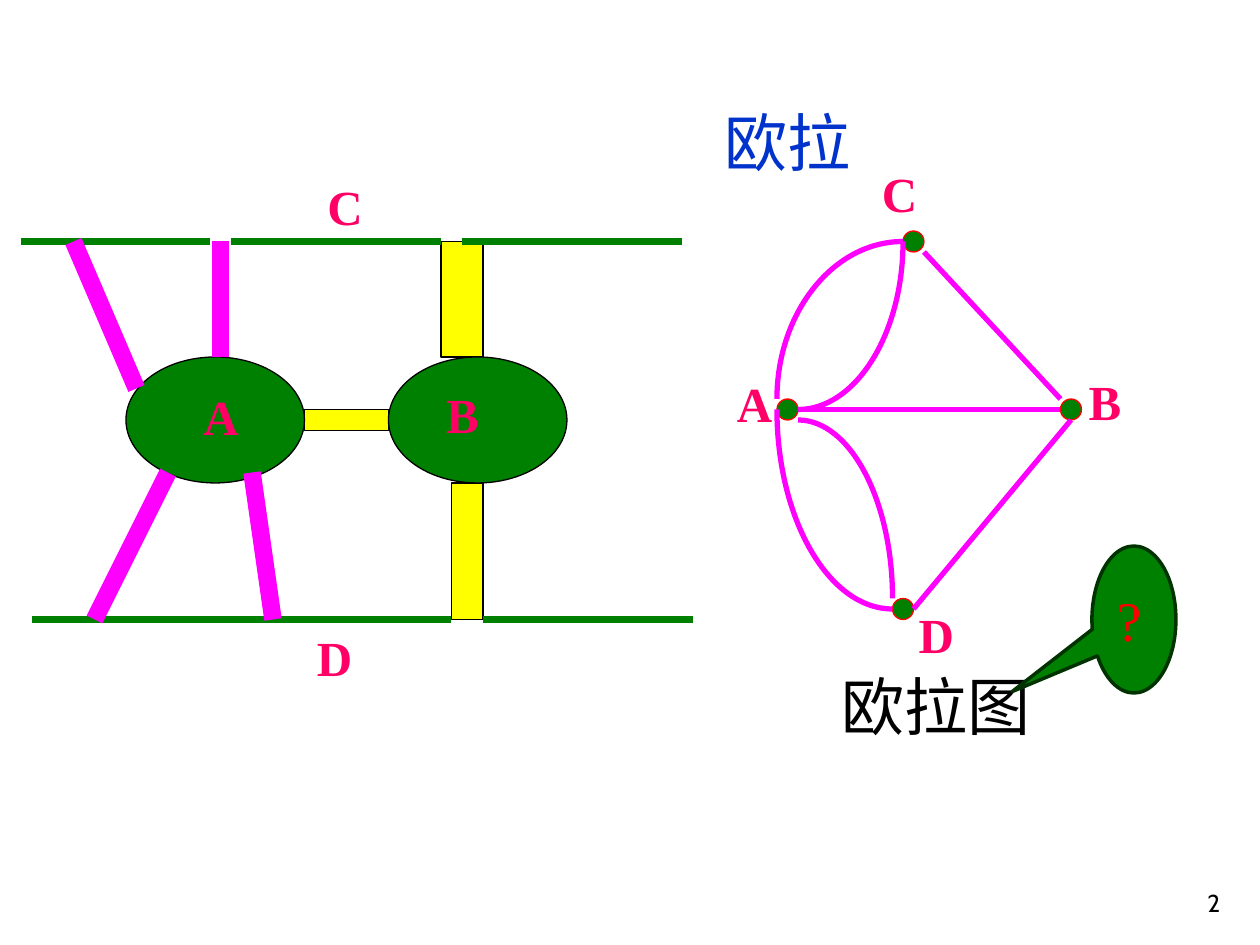
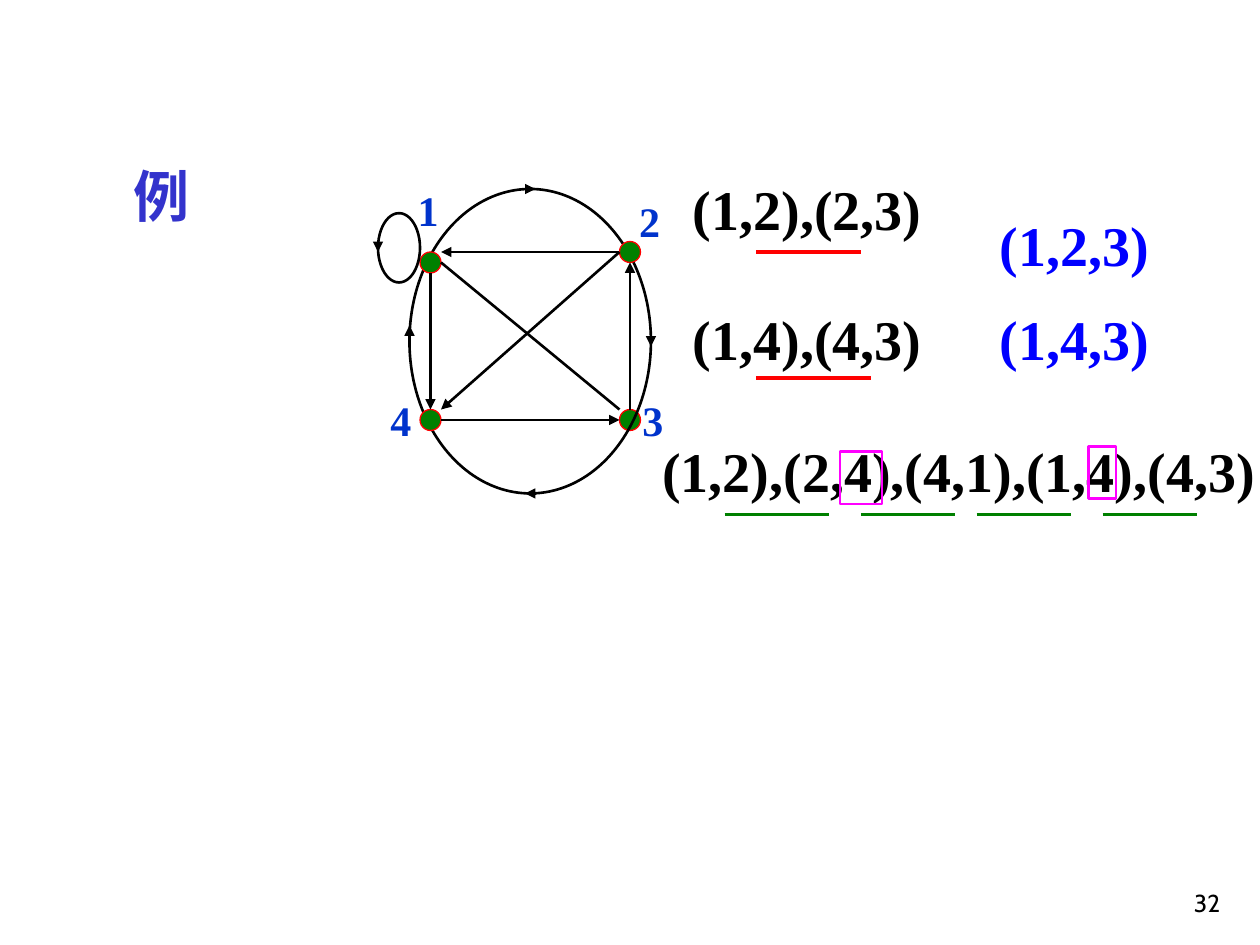
"""Build two slides on graphs: the seven bridges and walks in a directed graph."""
import pptx
import pptx.dml.color
import pptx.enum.shapes
import pptx.enum.text
import pptx.oxml.ns
import pptx.util
import lxml.etree

SHAPE = pptx.enum.shapes.MSO_SHAPE
ALIGN = pptx.enum.text.PP_ALIGN
ANCHOR = pptx.enum.text.MSO_ANCHOR
FIT = pptx.enum.text.MSO_AUTO_SIZE
qn = pptx.oxml.ns.qn

GRID = 2.54 / 12
CURVE = 0.55
SERIF, SANS = "Times New Roman", "Cabin"
GREEN, YELLOW, MAGENTA, RED = "008000", "FFFF00", "FF00FF", "FF0000"
BLACK, BLUE, PINK = "000000", "0033CC", "FF0066"


def color(hex_text):
    return pptx.dml.color.RGBColor.from_string(hex_text)


def grid(*values):
    return [pptx.util.Cm(value * GRID) for value in values]


class Sketch:
    def __init__(self, deck):
        self.deck = deck
        self.slide = None

    def new_slide(self, layout, number):
        self.slide = self.deck.slides.add_slide(self.deck.slide_layouts[layout])
        box = self.text((92.4, 82, 25, 6), [number], 14, BLACK, SANS, align=ALIGN.RIGHT)
        box.text_frame.auto_size = FIT.NONE
        box.text_frame.vertical_anchor = ANCHOR.BOTTOM

    def fill_text(self, frame, lines, size, ink, font, bold, align=ALIGN.LEFT, spacing=None):
        for index, line in enumerate(lines):
            para = frame.add_paragraph() if index else frame.paragraphs[0]
            para.alignment = align
            para.line_spacing = spacing
            span = para.add_run()
            span.text = line
            span.font.name = font
            span.font.size = pptx.util.Pt(size)
            span.font.bold = bold
            span.font.color.rgb = color(ink)

    def text(self, place, lines, size, ink, font=SERIF, bold=False, wrap=True, **layout):
        box = self.slide.shapes.add_textbox(*grid(*place))
        box.text_frame.word_wrap = wrap
        box.text_frame.auto_size = FIT.SHAPE_TO_FIT_TEXT
        self.fill_text(box.text_frame, lines, size, ink, font, bold, **layout)
        return box

    def labels(self, places, size, ink, extent):
        for name, corner in places.items():
            self.text((*corner, *extent), [name], size, ink, bold=True, wrap=False)

    def body(self, place, line, size, ink):
        title = self.slide.shapes.title.element
        title.getparent().remove(title)
        box = self.slide.placeholders[1]
        box.left, box.top, box.width, box.height = grid(*place)
        box.text_frame.auto_size = FIT.NONE
        properties = box.text_frame.paragraphs[0]._p.get_or_add_pPr()
        indent = pptx.util.Cm(0.95)
        properties.set("marL", str(indent))
        properties.set("indent", str(-indent))
        lxml.etree.SubElement(properties, qn("a:buNone"))
        box.text_frame.paragraphs[0].space_before = pptx.util.Pt(0)
        self.fill_text(box.text_frame, [line], size, ink, SANS, True)

    def stroke(self, shape, ink, width):
        shape.line.color.rgb = color(ink)
        shape.line.width = pptx.util.Pt(width)

    def shape(self, kind, place, fill=None, ink=BLACK, width=0.75):
        shape = self.slide.shapes.add_shape(kind, *grid(*place))
        shape.shadow.inherit = False
        if fill:
            shape.fill.solid()
            shape.fill.fore_color.rgb = color(fill)
        else:
            shape.fill.background()
        self.stroke(shape, ink, width)
        return shape

    def dots(self, corners):
        for corner in corners:
            self.shape(SHAPE.OVAL, (*corner, 2, 2), GREEN, RED)

    def line(self, start, end, ink=BLACK, width=1.5, arrow=False):
        line = self.slide.shapes.add_connector(
            pptx.enum.shapes.MSO_CONNECTOR.STRAIGHT, *grid(*start, *end))
        self.stroke(line, ink, width)
        if arrow:
            outline = line.element.spPr.find(qn("a:ln"))
            lxml.etree.SubElement(outline, qn("a:tailEnd"), type="triangle")
        lxml.etree.SubElement(line.element.spPr, qn("a:effectLst"))

    def level_lines(self, y, spans, ink, width):
        for left, right in spans:
            self.line((left, y), (right, y), ink, width)

    def quarter_arc(self, start, end, ink, width):
        (x0, y0), (x1, y1) = start, end
        points = [(x0 + CURVE * (x1 - x0), y0), (x1, y1 - CURVE * (y1 - y0)), end]
        builder = self.slide.shapes.build_freeform(*grid(*start))
        builder.add_line_segments([grid(*point) for point in points], close=False)
        arc = builder.convert_to_shape()
        segments = list(arc.element.iter(qn("a:lnTo")))
        curve = lxml.etree.SubElement(segments[0].getparent(), qn("a:cubicBezTo"))
        for segment in segments:
            curve.append(segment[0])
            segment.getparent().remove(segment)
        arc.shadow.inherit = False
        arc.fill.background()
        self.stroke(arc, ink, width)


def draw_bridges(sketch):
    sketch.new_slide(6, "2")
    letter = (5.76, 6.84)
    sketch.text((67.8, 9.24, 26.16, 8.4), ["欧拉"], 36, BLUE, SANS)

    sketch.dots([(85, 57), (101, 38), (74, 38), (86, 22)])
    sketch.labels({"C": (82.8, 15), "D": (86.3, 57), "A": (69, 35), "B": (102.5, 34.8)},
                  28, PINK, letter)
    for start, end in [((101, 38), (88, 24)), ((76, 39), (101, 39)), ((87, 58), (102, 40))]:
        sketch.line(start, end, MAGENTA, 3)
    for start, end in [((86, 23), (74, 38)), ((76, 40), (85, 57)),
                       ((76, 39), (86, 23)), ((85, 58), (74, 39))]:
        sketch.quarter_arc(start, end, MAGENTA, 3)

    for place in [(42, 23, 4, 11), (29, 39, 8, 2), (43, 46, 3, 13)]:
        sketch.shape(SHAPE.RECTANGLE, place, YELLOW)
    sketch.level_lines(23, [(2, 20), (22, 42), (44, 65)], GREEN, 4.25)
    sketch.level_lines(59, [(3, 23), (23, 43), (46, 66)], GREEN, 4.25)
    for left in (12, 37):
        sketch.shape(SHAPE.OVAL, (left, 34, 17, 12), GREEN)
    sketch.labels({"C": (30, 16.2), "D": (29, 59.2), "A": (18.2, 36.2), "B": (41.3, 36)},
                  28, PINK, letter)
    for start, end in [((7, 23), (13, 37)), ((21, 34), (21, 23)),
                       ((24, 45), (26, 59)), ((16, 45), (9, 59))]:
        sketch.line(start, end, MAGENTA, 10)

    sketch.text((79, 63, 35.2, 8.4), ["欧拉图"], 36, BLACK, SANS)
    callout = sketch.shape(SHAPE.OVAL_CALLOUT, (104, 52, 8, 14), GREEN, "003300", 2)
    callout.adjustments[0], callout.adjustments[1] = -1.45, 0.49
    callout.text_frame.vertical_anchor = ANCHOR.MIDDLE
    sketch.fill_text(callout.text_frame, ["?"], 32, RED, SERIF, False)


def draw_walks(sketch):
    sketch.new_slide(1, "32")
    sketch.body((11.5, 14.8, 102, 46.2), "例", 32, "3333CC")

    sketch.dots([(59, 39)])
    sketch.shape(SHAPE.OVAL, (39, 18, 23, 29), width=1.5)
    sketch.labels({"2": (59.7, 18), "3": (60, 37), "4": (36, 37), "1": (38.6, 17)},
                  24, BLUE, (4.3, 6))
    sketch.dots([(59, 23), (40, 39), (40, 24)])
    sketch.line((42, 25), (59, 39))
    edges = [((59, 24), (42, 39)), ((59, 24), (42, 24)), ((41, 26), (41, 39)),
             ((42, 40), (59, 40)), ((60, 39), (60, 25))]
    loop_marks = [((38, 20), (38, 20)), ((36, 23), (36, 24))]
    ring_marks = [((50, 18), (51, 18)), ((62, 32), (62, 33)),
                  ((51, 47), (50, 47)), ((39, 33), (39, 31))]
    sketch.shape(SHAPE.OVAL, (36, 20.3, 4, 6.6), width=1.5)
    for start, end in edges + loop_marks + ring_marks:
        sketch.line(start, end, arrow=True)

    for top, walk in [(16, "(1,2),(2,3)"), (28.4, "(1,4),(4,3)")]:
        sketch.text((64.8, top, 33.2, 7.7), [walk], 32, BLACK, bold=True)
    sketch.text((61.9, 41, 58.9, 7.7), ["(1,2),(2,4),(4,1),(1,4),(4,3)"], 32, BLACK,
                bold=True, wrap=False)
    sketch.text((94, 16.9, 22, 19.2), ["(1,2,3)", "(1,4,3)"], 32, "0000FF",
                bold=True, spacing=1.4)
    sketch.level_lines(24, [(72, 82)], RED, 2)
    sketch.level_lines(36, [(72, 83)], RED, 2)
    sketch.level_lines(49, [(69, 79), (82, 91), (93, 102), (105, 114)], GREEN, 2.25)
    for place in [(80, 43, 4, 5), (103.7, 42.5, 2.6, 5)]:
        sketch.shape(SHAPE.RECTANGLE, place, ink=MAGENTA, width=1.5)


def main():
    deck = pptx.Presentation()
    deck.slide_width, deck.slide_height = grid(120, 90)
    sketch = Sketch(deck)
    draw_bridges(sketch)
    draw_walks(sketch)
    deck.save("out.pptx")


if __name__ == "__main__":
    main()
